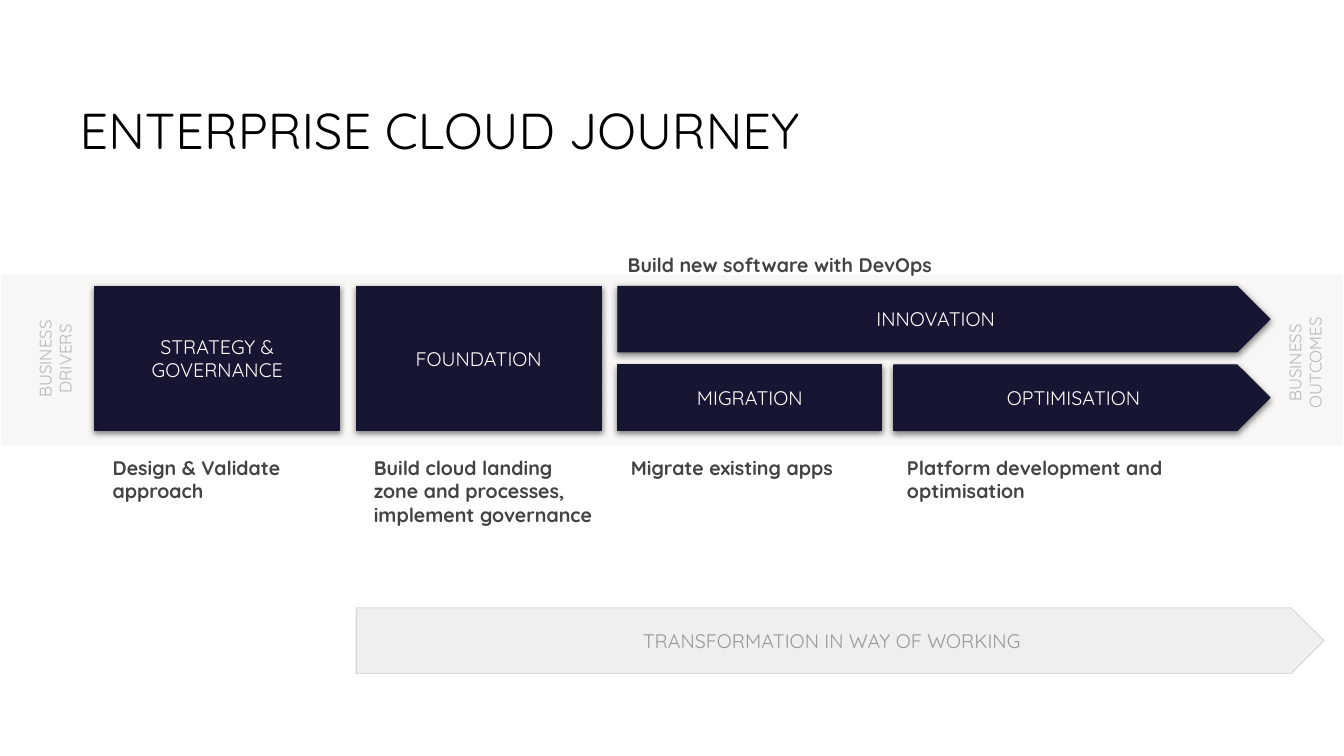
from lxml import etree
from pptx import Presentation
from pptx import util as u
from pptx.dml.color import RGBColor
from pptx.enum import shapes, text
from pptx.oxml import ns

BLACK = RGBColor(0x00, 0x00, 0x00)
WHITE = RGBColor(0xFF, 0xFF, 0xFF)
NAVY = RGBColor(0x16, 0x16, 0x32)
BAND = RGBColor(0xF8, 0xF7, 0xF6)
PALE = RGBColor(0xEF, 0xEF, 0xEF)
RULE = RGBColor(0xD9, 0xD9, 0xD9)
DARK = RGBColor(0x43, 0x43, 0x43)
GREY = RGBColor(0x99, 0x99, 0x99)
SILVER = RGBColor(0xB7, 0xB7, 0xB7)

FONT = "Quicksand"
RECT = shapes.MSO_SHAPE.RECTANGLE
ARROW = shapes.MSO_SHAPE.PENTAGON
LEFT, CENTER = text.PP_ALIGN.LEFT, text.PP_ALIGN.CENTER
TOP, MIDDLE, BOTTOM = (text.MSO_ANCHOR.TOP, text.MSO_ANCHOR.MIDDLE,
                       text.MSO_ANCHOR.BOTTOM)

WIDTH, HEIGHT = 960, 540
INSET = 7.2
STAGE_W, STAGE_GAP = 175, 11.8
ROW_H, ROW_GAP = 46.8, 9.4
STAGE_TOP = 204.5
STAGE_H = 2 * ROW_H + ROW_GAP
BAND_TOP, BAND_H = 195.8, 122.4
CAPTION_TOP = BAND_TOP + BAND_H
COLS = [67.7 + i * (STAGE_W + STAGE_GAP) for i in range(3)]
MIGRATION_W = 188.6
OPTIMISE_X = COLS[2] + MIGRATION_W + 8.4
FLOW_END = 907.2
ROW_2 = STAGE_TOP + ROW_H + ROW_GAP

TITLE = "ENTERPRISE CLOUD JOURNEY"
STAGES = [
    ("STRATEGY & GOVERNANCE", RECT, COLS[0], STAGE_TOP, STAGE_W, STAGE_H),
    ("FOUNDATION", RECT, COLS[1], STAGE_TOP, STAGE_W, STAGE_H),
    ("INNOVATION", ARROW, COLS[2], STAGE_TOP, FLOW_END - COLS[2], ROW_H),
    ("OPTIMISATION", ARROW, OPTIMISE_X, ROW_2, FLOW_END - OPTIMISE_X, ROW_H),
    ("MIGRATION", RECT, COLS[2], ROW_2, MIGRATION_W, ROW_H),
]
CAPTIONS = [
    ("Design & Validate approach", 73.4, CAPTION_TOP, STAGE_W, 221, TOP),
    ("Build cloud landing zone and processes, implement governance",
     260, CAPTION_TOP, STAGE_W, 105, TOP),
    ("Migrate existing apps", 443.5, CAPTION_TOP, MIGRATION_W, 140, TOP),
    ("Build new software with DevOps", COLS[2], 64.8, 443.5, 139.7, BOTTOM),
    ("Platform development and optimisation",
     640.8, CAPTION_TOP, 246, 96, TOP),
]
ENDS = [("BUSINESS\nOUTCOMES", 880.6, 234), ("BUSINESS\nDRIVERS", -12.2, 231.1)]
WORKING = "TRANSFORMATION IN WAY OF WORKING"


def write(sp, words, size, color, align=LEFT, anchor=TOP, bold=False, inset=INSET):
    tf = sp.text_frame
    frame = {"word_wrap": True, "auto_size": text.MSO_AUTO_SIZE.NONE,
             "vertical_anchor": anchor}
    for side in ("left", "top", "right", "bottom"):
        frame["margin_" + side] = u.Pt(inset)
    for name, value in frame.items():
        setattr(tf, name, value)
    p = tf.paragraphs[0]
    p.text = words
    p.alignment = align
    for r in p.runs:
        for name, value in {"name": FONT, "size": u.Pt(size), "bold": bold}.items():
            setattr(r.font, name, value)
        r.font.color.rgb = color


def add_shape(s, kind, box, fill, line):
    sp = s.shapes.add_shape(kind, *map(u.Pt, box))
    sp.shadow.inherit = False
    sp.fill.solid()
    sp.fill.fore_color.rgb = fill
    sp.line.color.rgb = line
    sp.line.width = u.Pt(0.75)
    return sp


def add_shadow(sp):
    effects = sp._element.spPr.find(ns.qn("a:effectLst"))
    shadow = etree.SubElement(effects, ns.qn("a:outerShdw"), {
        "blurRad": str(u.Pt(4.5)), "dist": str(u.Pt(1.5)),
        "dir": "5400000", "algn": "bl", "rotWithShape": "0"})
    color = etree.SubElement(shadow, ns.qn("a:srgbClr"), val=str(BLACK))
    etree.SubElement(color, ns.qn("a:alpha"), val="49000")


def main():
    prs = Presentation()
    prs.slide_width, prs.slide_height = u.Pt(WIDTH), u.Pt(HEIGHT)
    s = prs.slides.add_slide(prs.slide_layouts[5])

    title = s.shapes.title
    for name, value in {"left": 56.9, "top": 70.6, "width": 850.3,
                        "height": 56.9}.items():
        setattr(title, name, u.Pt(value))
    write(title, TITLE, 36, BLACK, inset=0)

    add_shape(s, RECT, (0, BAND_TOP, WIDTH, BAND_H), BAND, WHITE)
    for words, kind, *box in STAGES:
        sp = add_shape(s, kind, box, NAVY, NAVY)
        add_shadow(sp)
        write(sp, words, 14, WHITE, CENTER, MIDDLE)

    for words, *box, anchor in CAPTIONS:
        sp = s.shapes.add_textbox(*map(u.Pt, box))
        write(sp, words, 14, DARK, anchor=anchor, bold=True)

    for words, x, y in ENDS:
        sp = s.shapes.add_textbox(*map(u.Pt, (x, y, 103, 50.4)))
        sp.rotation = 270
        write(sp, words, 12, SILVER, CENTER, MIDDLE)

    sp = add_shape(s, ARROW, (COLS[1], 434.2, 691.2, ROW_H), PALE, RULE)
    write(sp, WORKING, 14, GREY, CENTER, MIDDLE)

    prs.save("out.pptx")


if __name__ == "__main__":
    main()
